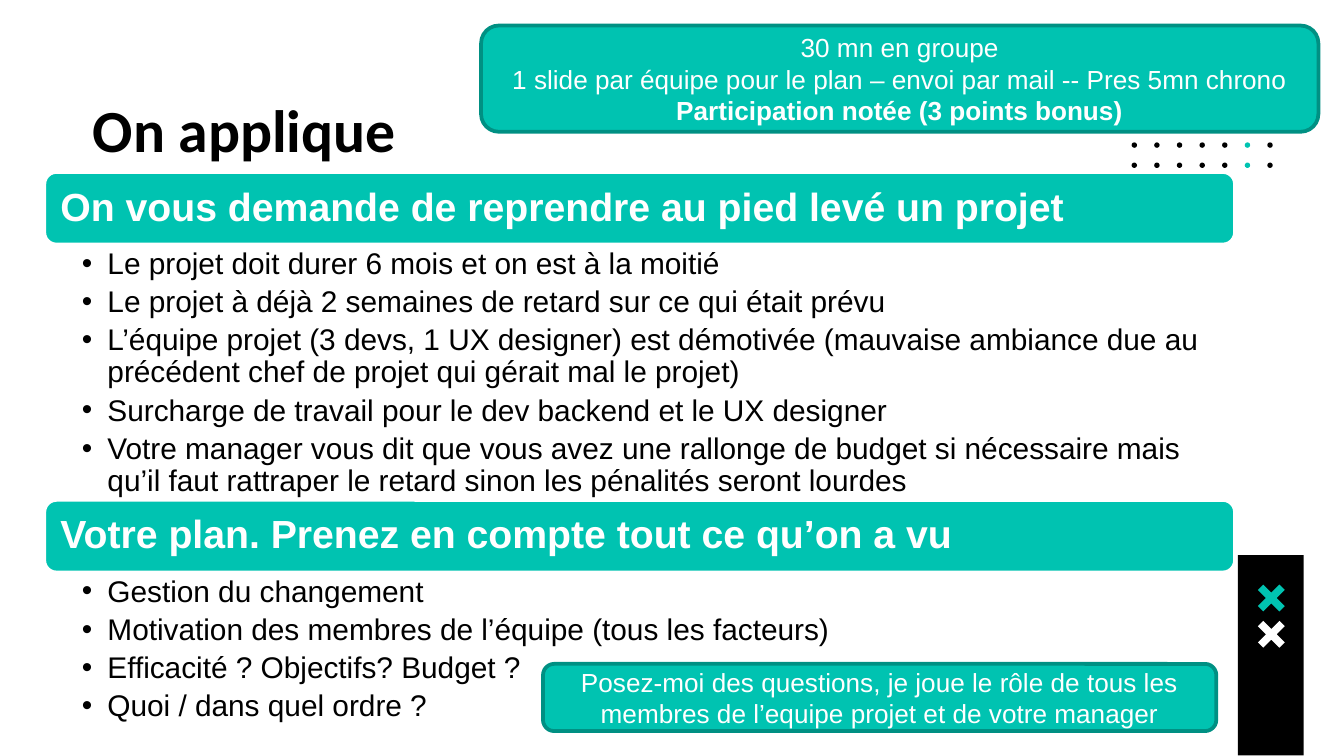
from dataclasses import dataclass

from lxml import etree
from pptx import Presentation
from pptx.dml.color import RGBColor
from pptx.enum.shapes import MSO_SHAPE
from pptx.enum.text import MSO_ANCHOR, PP_ALIGN
from pptx.oxml.ns import qn
from pptx.util import Inches, Pt

ROUNDED, OVAL, RECTANGLE = MSO_SHAPE.ROUNDED_RECTANGLE, MSO_SHAPE.OVAL, MSO_SHAPE.RECTANGLE
TOP, MIDDLE = MSO_ANCHOR.TOP, MSO_ANCHOR.MIDDLE
LEFT, CENTER = PP_ALIGN.LEFT, PP_ALIGN.CENTER


@dataclass(frozen=True)
class Theme:
    accent: str = "00C3B1"
    accent_dark: str = "009083"
    black: str = "000000"
    white: str = "FFFFFF"
    title_font: str = "Calibri"
    body_font: str = "Arial"
    title_size: int = 32
    heading_size: int = 21
    body_size: int = 16
    callout_size: int = 14


THEME = Theme()

SECTIONS = [
    (1.28, 1.9, "On vous demande de reprendre au pied levé un projet", [
        "Le projet doit durer 6 mois et on est à la moitié",
        "Le projet à déjà 2 semaines de retard sur ce qui était prévu",
        "L’équipe projet (3 devs, 1 UX designer) est démotivée (mauvaise ambiance due au "
        "précédent chef de projet qui gérait mal le projet)",
        "Surcharge de travail pour le dev backend et le UX designer",
        "Votre manager vous dit que vous avez une rallonge de budget si nécessaire mais "
        "qu’il faut rattraper le retard sinon les pénalités seront lourdes",
    ]),
    (3.72, 1.14, "Votre plan. Prenez en compte tout ce qu’on a vu", [
        "Gestion du changement",
        "Motivation des membres de l’équipe (tous les facteurs)",
        "Efficacité ? Objectifs? Budget ?",
        "Quoi / dans quel ordre ?",
    ]),
]


def paint(shape, fill, line=None):
    shape.shadow.inherit = False
    shape.fill.solid()
    shape.fill.fore_color.rgb = RGBColor.from_string(fill)
    if line:
        shape.line.color.rgb = RGBColor.from_string(line)
        shape.line.width = Pt(2)
    else:
        shape.line.fill.background()


def add_panel(page, kind, left, top, width, height, fill, line=None):
    shape = page.shapes.add_shape(
        kind, Inches(left), Inches(top), Inches(width), Inches(height))
    paint(shape, fill, line)
    return shape


def add_text_box(page, left, top, width, height):
    return page.shapes.add_textbox(
        Inches(left), Inches(top), Inches(width), Inches(height))


def set_frame(frame, anchor, insets):
    frame.word_wrap = True
    frame.vertical_anchor = anchor
    (frame.margin_left, frame.margin_top,
     frame.margin_right, frame.margin_bottom) = map(Inches, insets)


def style_runs(para, size, color, bold=False, name=THEME.body_font):
    for span in para.runs:
        span.font.name = name
        span.font.size = Pt(size)
        span.font.bold = bold
        span.font.color.rgb = RGBColor.from_string(color)


def add_bullet(para):
    properties = para._p.get_or_add_pPr()
    properties.set("marL", str(Inches(0.19)))
    properties.set("indent", str(-Inches(0.19)))
    color = etree.SubElement(properties, qn("a:buClr"))
    etree.SubElement(color, qn("a:srgbClr"), val=THEME.black)
    etree.SubElement(properties, qn("a:buFont"), typeface=THEME.body_font)
    etree.SubElement(properties, qn("a:buChar"), char="•")


def add_dot_grid(page, left, top):
    for row in range(2):
        for column in range(7):
            color = THEME.accent if column == 5 else THEME.black
            add_panel(page, OVAL, left + column * 1.01 / 6, top + row * 0.15, 0.04, 0.04, color)


def add_cross(page, left, top, color):
    # Outline in hundredths of an inch
    outline = [(4, 0), (0, 4), (6, 10), (0, 16), (4, 20), (10, 14),
               (16, 20), (20, 16), (14, 10), (20, 4), (16, 0), (10, 6)]
    builder = page.shapes.build_freeform(*outline[0], scale=Inches(0.01))
    builder.add_line_segments(outline[1:], close=True)
    paint(builder.convert_to_shape(Inches(left), Inches(top)), color)


def add_side_bar(page, left, top, width, height):
    add_panel(page, RECTANGLE, left, top, width, height, THEME.black)
    add_cross(page, left + 0.15, top + 0.22, THEME.accent)
    add_cross(page, left + 0.15, top + 0.49, THEME.white)


def add_title(page, left, top, width, height, text):
    title = page.shapes.title
    title.left, title.top = Inches(left), Inches(top)
    title.width, title.height = Inches(width), Inches(height)
    set_frame(title.text_frame, TOP, [0.1] * 4)
    title.text_frame.text = text
    para = title.text_frame.paragraphs[0]
    para.alignment = LEFT
    style_runs(para, THEME.title_size, THEME.black, True, THEME.title_font)


def add_section(page, left, top, width, list_height, heading, items):
    bar_height, edge = 0.54, 0.03
    # Heading bar and its text
    add_panel(page, ROUNDED, left, top, width, bar_height, THEME.accent, THEME.white)
    label = add_text_box(page, left + edge, top + edge, width - 2 * edge, bar_height - 2 * edge)
    set_frame(label.text_frame, MIDDLE, [0.09] * 4)
    label.text_frame.text = heading
    para = label.text_frame.paragraphs[0]
    para.line_spacing = 0.9
    style_runs(para, THEME.heading_size, THEME.white, True)

    # Bulleted list
    box = add_text_box(page, left, top + bar_height, width, list_height)
    set_frame(box.text_frame, TOP, [0.28, 0.03, 0.16, 0.03])
    box.text_frame.text = "\n".join(items)
    for para in box.text_frame.paragraphs:
        add_bullet(para)
        para.level = 1
        para.line_spacing = 0.9
        para.space_after = Pt(0.2 * THEME.body_size)
        style_runs(para, THEME.body_size, THEME.black)


def add_callout(page, left, top, width, height, lines, bold_last=False):
    shape = add_panel(page, ROUNDED, left, top, width, height, THEME.accent, THEME.accent_dark)
    set_frame(shape.text_frame, MIDDLE, [0.1, 0.05, 0.1, 0.05])
    shape.text_frame.text = "\n".join(lines)
    for number, para in enumerate(shape.text_frame.paragraphs, 1):
        para.alignment = CENTER
        style_runs(para, THEME.callout_size, THEME.white, bold_last and number == len(lines))


def main():
    deck = Presentation()
    # Widescreen, 16:9
    deck.slide_width = Inches(10)
    deck.slide_height = deck.slide_width * 9 // 16
    page = deck.slides.add_slide(deck.slide_layouts[5])

    # Decoration
    add_dot_grid(page, 8.42, 1.06)
    add_side_bar(page, 9.21, 4.13, 0.49, 1.49)

    # Content
    add_title(page, 0.59, 0.59, 8.86, 0.79, "On applique")
    for top, list_height, heading, items in SECTIONS:
        add_section(page, 0.33, top, 8.86, list_height, heading, items)

    # Callouts
    add_callout(page, 3.58, 0.19, 6.23, 0.79, [
        "30 mn en groupe",
        "1 slide par équipe pour le plan – envoi par mail -- Pres 5mn chrono",
        "Participation notée (3 points bonus)",
    ], bold_last=True)
    add_callout(page, 4.04, 4.94, 5.01, 0.5, [
        "Posez-moi des questions, je joue le rôle de tous les "
        "membres de l’equipe projet et de votre manager",
    ])
    deck.save("out.pptx")


if __name__ == "__main__":
    main()
